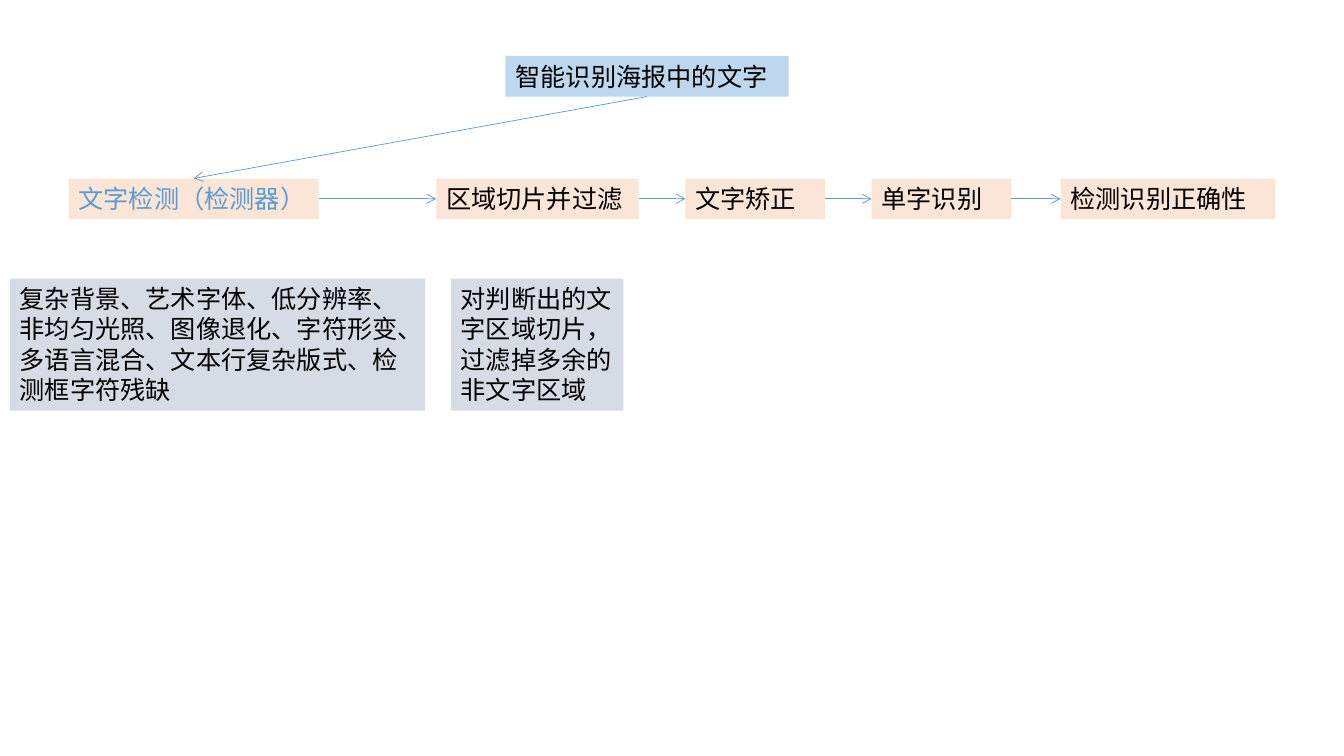
from itertools import pairwise

from lxml.etree import SubElement
from pptx import Presentation
from pptx.dml.color import RGBColor
from pptx.enum.shapes import MSO_CONNECTOR
from pptx.enum.text import MSO_ANCHOR, MSO_AUTO_SIZE, PP_ALIGN
from pptx.oxml.ns import qn
from pptx.util import Pt

BLACK = RGBColor(0x00, 0x00, 0x00)
BLUE = RGBColor(0x5B, 0x9B, 0xD5)
PALE_BLUE = RGBColor(0xBD, 0xD7, 0xEE)
PEACH = RGBColor(0xFB, 0xE5, 0xD6)
GREY = RGBColor(0xD6, 0xDC, 0xE5)

FONT = "Calibri"
TITLE_TOP, STEP_TOP, NOTE_TOP = 40, 127.5, 199
LINE_HEIGHT, NOTE_HEIGHT = 29, 94.4
TOP, LEFT, BOTTOM, RIGHT = range(4)  # connection sites of a rectangle

# Text, left, width, text colour
STEPS = [
    ("文字检测（检测器）", 49, 178.6, BLUE),
    ("区域切片并过滤", 311.6, 144.6, BLACK),
    ("文字矫正", 489.6, 99.6, BLACK),
    ("单字识别", 622.6, 99.6, BLACK),
    ("检测识别正确性", 757.6, 153.4, BLACK),
]
# Text, left, width
NOTES = [
    ("复杂背景、艺术字体、低分辨率、非均匀光照、图像退化、字符形变、"
     "多语言混合、文本行复杂版式、检测框字符残缺", 7, 296.6),
    ("对判断出的文字区域切片，过滤掉多余的非文字区域", 322, 123.4),
]


def fill_box(box, text, fill, color=BLACK):
    """Write left-aligned text into a filled box."""
    box.fill.solid()
    box.fill.fore_color.rgb = fill
    frame = box.text_frame
    frame.text = text
    frame.word_wrap = True
    frame.vertical_anchor = MSO_ANCHOR.TOP
    para = frame.paragraphs[0]
    para.alignment = PP_ALIGN.LEFT
    para.font.name = FONT
    para.font.size = Pt(18)
    para.font.color.rgb = color


def add_title(page, text, left, width):
    """Place the title at a fixed size."""
    title = page.shapes.title
    title.left, title.top = Pt(left), Pt(TITLE_TOP)
    title.width, title.height = Pt(width), Pt(LINE_HEIGHT)
    fill_box(title, text, PALE_BLUE)
    title.text_frame.auto_size = MSO_AUTO_SIZE.NONE
    return title


def add_box(page, text, left, top, width, height, fill, color=BLACK):
    """Add a box that grows with its text."""
    box = page.shapes.add_textbox(Pt(left), Pt(top), Pt(width), Pt(height))
    fill_box(box, text, fill, color)
    box.text_frame.auto_size = MSO_AUTO_SIZE.SHAPE_TO_FIT_TEXT
    return box


def add_arrow(page, start, start_site, end, end_site):
    """Join two boxes with a thin open-headed arrow."""
    arrow = page.shapes.add_connector(MSO_CONNECTOR.STRAIGHT, 0, 0, 0, 0)
    arrow.begin_connect(start, start_site)
    arrow.end_connect(end, end_site)
    arrow.line.color.rgb = BLUE
    arrow.line.width = Pt(0.5)
    SubElement(arrow.line._get_or_add_ln(), qn("a:tailEnd"), type="arrow")
    SubElement(arrow._element.spPr, qn("a:effectLst"))


def main():
    deck = Presentation()
    deck.slide_width, deck.slide_height = Pt(960), Pt(540)
    page = deck.slides.add_slide(deck.slide_layouts.get_by_name("Title Only"))

    # Goal, processing steps and their notes
    title = add_title(page, "智能识别海报中的文字", 361, 202.4)
    steps = [add_box(page, text, left, STEP_TOP, width, LINE_HEIGHT, PEACH, color)
             for text, left, width, color in STEPS]
    for text, left, width in NOTES:
        add_box(page, text, left, NOTE_TOP, width, NOTE_HEIGHT, GREY)

    # Flow from the goal through the steps
    add_arrow(page, title, BOTTOM, steps[0], TOP)
    for step, following in pairwise(steps):
        add_arrow(page, step, RIGHT, following, LEFT)

    deck.save("out.pptx")


main()
